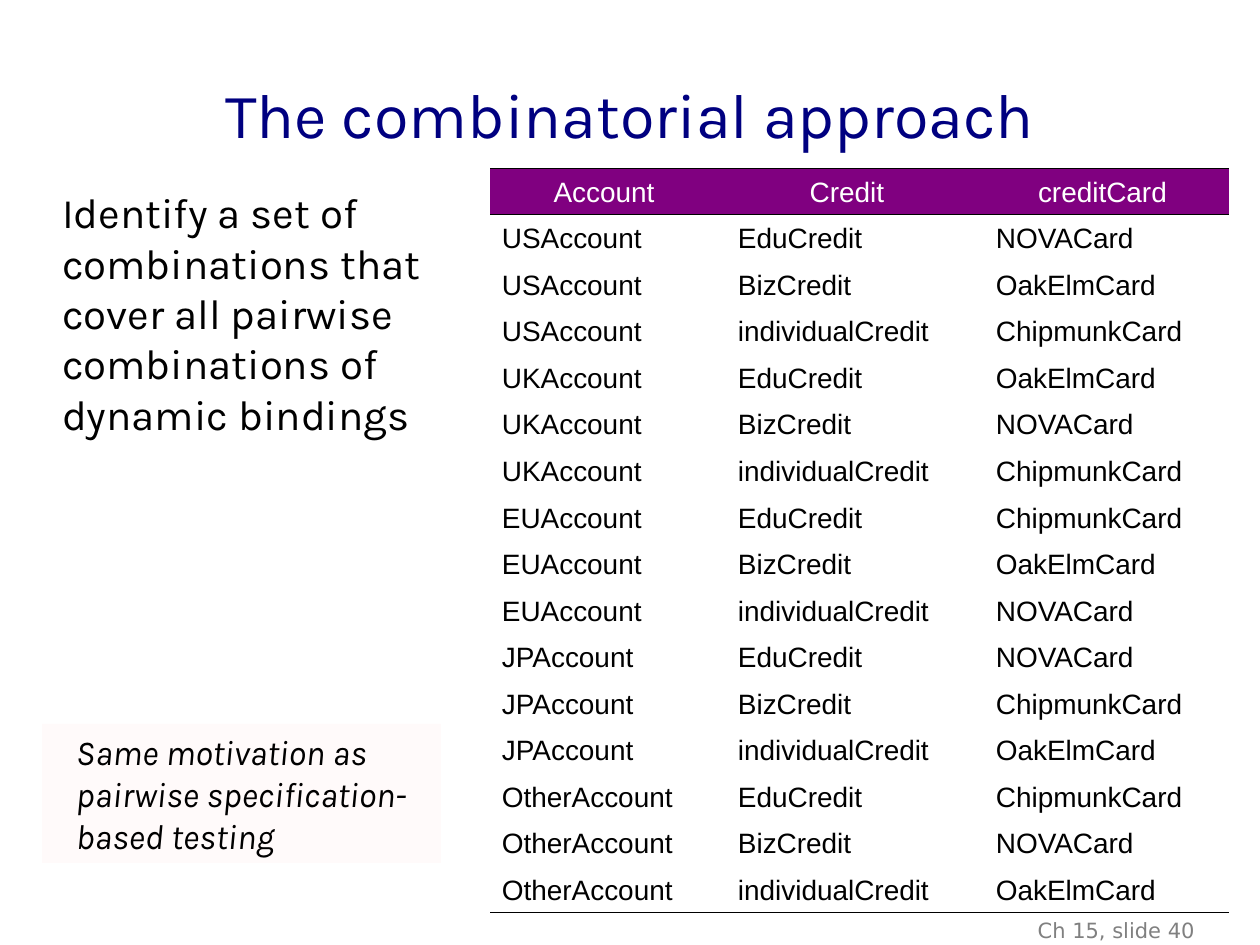
"""Build the slide on the combinatorial approach to pairwise dynamic bindings."""
from lxml.etree import SubElement
from pptx import Presentation
from pptx.dml.color import RGBColor
from pptx.enum.text import MSO_ANCHOR as Anchor, PP_ALIGN as Align
from pptx.oxml.ns import qn
from pptx.util import Pt

PX = 914400 // 126
COLORS = {
    "title": "000080",
    "text": "000000",
    "header": "800080",
    "header_text": "FFFFFF",
    "note": "FFFAFA",
    "footer": "808080",
}
HEADINGS = ["Account", "Credit", "creditCard"]
COLUMN_WIDTHS = [228, 258, 253]
LEFT_MARGINS = [12, 20, 20]
CREDITS = ["EduCredit", "BizCredit", "individualCredit"]
NOVA, OAKELM, CHIPMUNK = "NOVACard", "OakElmCard", "ChipmunkCard"
CARDS = {
    "USAccount": [NOVA, OAKELM, CHIPMUNK],
    "UKAccount": [OAKELM, NOVA, CHIPMUNK],
    "EUAccount": [CHIPMUNK, OAKELM, NOVA],
    "JPAccount": [NOVA, CHIPMUNK, OAKELM],
    "OtherAccount": [CHIPMUNK, NOVA, OAKELM],
}


def write(frame, text, font, size, color, align=Align.LEFT):
    paragraph = frame.paragraphs[0]
    paragraph.text = text
    paragraph.alignment = align
    paragraph.font.name = font
    paragraph.font.size = Pt(size)
    paragraph.font.color.rgb = RGBColor.from_string(COLORS[color])
    return paragraph


def add_border(cell, side):
    line = SubElement(cell._tc.get_or_add_tcPr(), qn(f"a:{side}"), w=str(Pt(0.45)))
    fill = SubElement(line, qn("a:solidFill"))
    SubElement(fill, qn("a:srgbClr"), val=COLORS["text"])


presentation = Presentation()
presentation.slide_width = 1260 * PX
presentation.slide_height = 945 * PX
slide = presentation.slides.add_slide(presentation.slide_layouts[6])

rows = [HEADINGS]
for account, cards in CARDS.items():
    rows += [[account, credit, card] for credit, card in zip(CREDITS, cards)]

table_frame = slide.shapes.add_table(
    len(rows), len(HEADINGS), 490 * PX, 168 * PX, sum(COLUMN_WIDTHS) * PX, 745 * PX
)
table = table_frame.table
table.first_row = False
table.horz_banding = False
table._tbl.tblPr.find(qn("a:tableStyleId")).text = "{2D5ABB26-0587-4C30-8999-92F81FD0307C}"
for column, width in zip(table.columns, COLUMN_WIDTHS):
    column.width = width * PX

for row_index, values in enumerate(rows):
    is_header = row_index == 0
    for column_index, value in enumerate(values):
        cell = table.cell(row_index, column_index)
        cell.vertical_anchor = Anchor.BOTTOM
        if is_header:
            add_border(cell, "lnT")
        if is_header or row_index == len(rows) - 1:
            add_border(cell, "lnB")
        if is_header:
            cell.fill.solid()
            cell.fill.fore_color.rgb = RGBColor.from_string(COLORS["header"])
            write(cell.text_frame, value, "Arial", 16, "header_text", Align.CENTER)
        else:
            cell.fill.background()
            cell.margin_left = LEFT_MARGINS[column_index] * PX
            write(cell.text_frame, value, "Arial", 16, "text")

TEXT_BOXES = [
    ("The combinatorial approach", (63, 38, 1134, 151), 12, Anchor.MIDDLE,
     "Karla", 36, "title", Align.CENTER),
    ("Identify a set of combinations that cover all pairwise combinations of dynamic bindings",
     (42, 180, 399, 265), 20, Anchor.BOTTOM, "Karla", 24, "text", Align.LEFT),
    ("Same motivation as pairwise specification-based testing",
     (42, 724, 399, 139), 34, Anchor.BOTTOM, "Karla", 20, "text", Align.LEFT),
    ("Ch 15, slide 40", (913, 911, 294, 34), 12, Anchor.TOP,
     "DejaVu Sans", 12, "footer", Align.RIGHT),
]
for text, place, left_margin, anchor, font, size, color, align in TEXT_BOXES:
    shape = slide.shapes.add_textbox(*(length * PX for length in place))
    frame = shape.text_frame
    frame.word_wrap = True
    frame.margin_left = left_margin * PX
    frame.vertical_anchor = anchor
    paragraph = write(frame, text, font, size, color, align)
    if text.startswith("Same motivation"):
        paragraph.font.italic = True
        shape.fill.solid()
        shape.fill.fore_color.rgb = RGBColor.from_string(COLORS["note"])

presentation.save("out.pptx")
